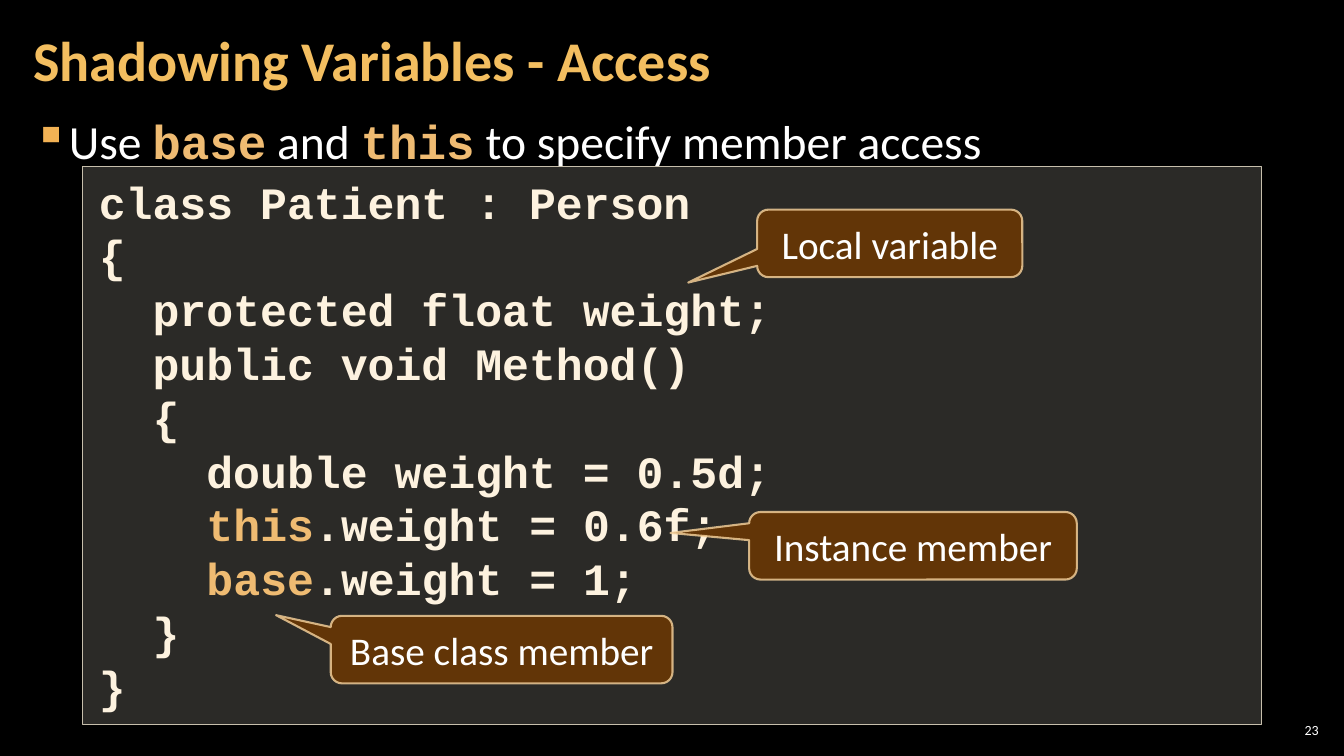
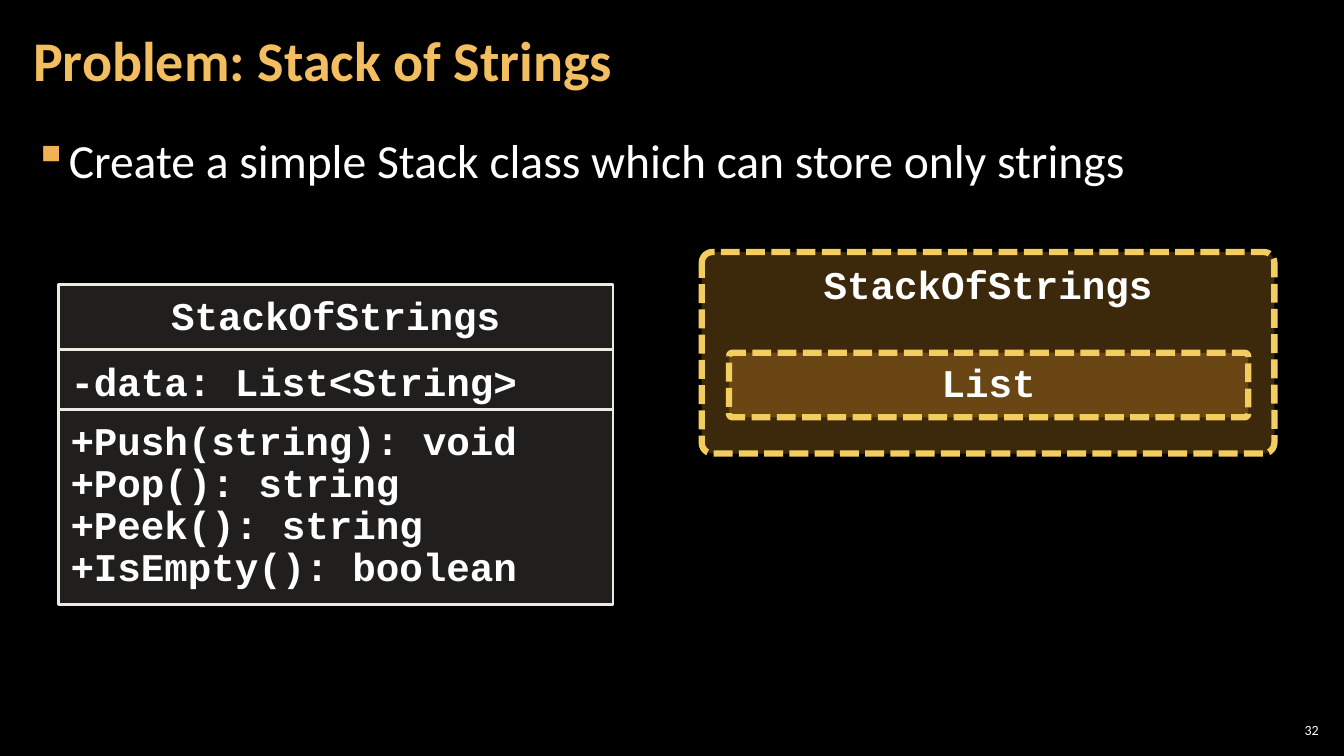
import pptx
import pptx.dml.color
import pptx.enum.dml
import pptx.enum.shapes
import pptx.enum.text
import pptx.oxml.ns
import pptx.util
from lxml import etree

Inches = pptx.util.Inches
Pt = pptx.util.Pt
Shape = pptx.enum.shapes.MSO_SHAPE
Align = pptx.enum.text.PP_ALIGN
Anchor = pptx.enum.text.MSO_ANCHOR
DASH = pptx.enum.dml.MSO_LINE.SQUARE_DOT
qn = pptx.oxml.ns.qn

TEXT_FONT, CODE_FONT = "Calibri", "Courier New"
WHITE, TITLE, BULLET, KEYWORD, CODE = "FFFFFF", "F3BE60", "F2B254", "EFBB72", "FDF2DF"
PANEL, PANEL_LINE, DIAGRAM_LINE = "D9D5C7", "C7BFAC", "ECEAE3"
CALLOUT, CALLOUT_LINE = "663606", "F8D49E"
AMBER, AMBER_LINE = "F0A22E", "F3CD60"


def color(hex_string):
    return pptx.dml.color.RGBColor.from_string(hex_string)


class Deck:
    """Holds the shared style and the slide being built."""

    def __init__(self):
        self.presentation = pptx.Presentation()
        self.presentation.slide_width = Inches(13.33)
        self.presentation.slide_height = Inches(7.5)
        background = self.presentation.slide_master.background.fill
        background.solid()
        background.fore_color.rgb = color("000000")
        self.slide = None

    def new_slide(self, title, number):
        self.slide = self.presentation.slides.add_slide(self.presentation.slide_layouts[6])
        self.text_box((0.21, 0.04, 10.47, 1.21), [title], size=40, font_color=TITLE,
                      bold=True, spacing=Pt(40), anchor=Anchor.MIDDLE)
        self.text_box((12.65, 7.14, 0.47, 0.21), [number], size=10, align=Align.RIGHT,
                      anchor=Anchor.MIDDLE, insets=(0.04, 0.04))

    def set_text(self, shape, lines, size, font_name=TEXT_FONT, font_color=WHITE, bold=False,
                 align=Align.LEFT, spacing=None, anchor=Anchor.TOP, insets=(0.1, 0.05),
                 bullet=False):
        """Each line is a string, or a list of strings and (keyword,) tuples."""
        frame = shape.text_frame
        frame.word_wrap = True
        frame.vertical_anchor = anchor
        frame.margin_left = frame.margin_right = Inches(insets[0])
        frame.margin_top = frame.margin_bottom = Inches(insets[1])
        for index, line in enumerate(lines):
            paragraph = frame.add_paragraph() if index else frame.paragraphs[0]
            paragraph.alignment = align
            if spacing is not None:
                paragraph.line_spacing = spacing
            if bullet:
                self.add_bullet(paragraph)
            font = paragraph.font
            font.name, font.size, font.bold = font_name, Pt(size), bold
            font.color.rgb = color(font_color)
            for part in [line] if isinstance(line, str) else line:
                run = paragraph.add_run()
                if isinstance(part, tuple):
                    run.text = part[0]
                    run.font.name, run.font.bold = CODE_FONT, True
                    run.font.color.rgb = color(KEYWORD)
                else:
                    run.text = part

    def add_bullet(self, paragraph):
        paragraph.space_after = Pt(6)
        properties = paragraph._p.get_or_add_pPr()
        properties.set("marL", str(Inches(0.33)))
        properties.set("indent", str(-Inches(0.33)))
        bullet_color = etree.SubElement(properties, qn("a:buClr"))
        etree.SubElement(bullet_color, qn("a:srgbClr"), val=BULLET)
        etree.SubElement(properties, qn("a:buChar"), char="▪")

    def text_box(self, place, lines, insets=(0.12, 0.04), **style):
        shape = self.slide.shapes.add_textbox(*map(Inches, place))
        self.set_text(shape, lines, insets=insets, **style)

    def body(self, top, line, spacing=None):
        self.text_box((0.21, top, 12.91, 6.09), [line], size=34, spacing=spacing, bullet=True)

    def box(self, kind, place, fill, line, lines, adjustments=(), dash=None, **style):
        """Fill is (colour, opacity %); line is (colour, width, opacity %)."""
        shape = self.slide.shapes.add_shape(kind, *map(Inches, place))
        shape.shadow.inherit = False
        for index, value in enumerate(adjustments):
            shape.adjustments[index] = value
        shape.fill.solid()
        shape.fill.fore_color.rgb = color(fill[0])
        shape.line.color.rgb = color(line[0])
        shape.line.width = Pt(line[1])
        if dash is not None:
            shape.line.dash_style = dash
        for owner, opacity in (("p:spPr", fill[1]), ("p:spPr/a:ln", line[2])):
            if opacity < 100:
                solid = shape.element.xpath(owner + "/a:solidFill/a:srgbClr")[0]
                etree.SubElement(solid, qn("a:alpha"), val=str(opacity * 1000))
        self.set_text(shape, lines, **style)

    def code_panel(self, place, lines):
        self.box(Shape.RECTANGLE, place, (PANEL, 20), (PANEL_LINE, 1, 100), lines,
                 size=32, font_name=CODE_FONT, font_color=CODE, bold=True, insets=(0.16, 0.08))

    def callout(self, left, top, width, text, tip):
        self.box(Shape.ROUNDED_RECTANGULAR_CALLOUT, (left, top, width, 0.67), (CALLOUT, 95),
                 (CALLOUT_LINE, 1.5, 80), [text], adjustments=(*tip, 0.167), size=28,
                 align=Align.CENTER, anchor=Anchor.MIDDLE)

    def class_diagram(self, left, top, width, sections):
        for height, align, lines in sections:
            self.box(Shape.RECTANGLE, (left, top, width, height), (PANEL, 15),
                     (DIAGRAM_LINE, 2, 100), lines, size=28, font_name=CODE_FONT, bold=True,
                     align=align, spacing=Pt(30), insets=(0.12, 0.12))
            top += height

    def dashed_box(self, place, text):
        self.box(Shape.ROUNDED_RECTANGLE, place, (AMBER, 25), (AMBER_LINE, 4.5, 100), [text],
                 adjustments=(0.054,), dash=DASH, size=28, font_name=CODE_FONT, bold=True,
                 align=Align.CENTER)


def main():
    deck = Deck()

    # Shadowing variables
    deck.new_slide("Shadowing Variables - Access", "23")
    deck.body(1.04, ["Use ", ("base",), " and ", ("this",), " to specify member access"],
              spacing=1.05)
    deck.code_panel((0.82, 1.65, 11.69, 5.54), [
        "class Patient : Person",
        "{",
        "  protected float weight;",
        "  public void Method()",
        "  {",
        "    double weight = 0.5d;",
        ["    ", ("this",), ".weight = 0.6f;"],
        ["    ", ("base",), ".weight = 1;"],
        "  }",
        "}",
    ])
    deck.callout(7.43, 5.08, 3.25, "Instance member", (-0.74, -0.19))
    deck.callout(3.28, 6.11, 3.39, "Base class member", (-0.66, -0.51))
    deck.callout(7.51, 2.08, 2.63, "Local variable", (-0.76, 0.58))

    # Stack of strings
    deck.new_slide("Problem: Stack of Strings", "32")
    deck.body(1.26, "Create a simple Stack class which can store only strings")
    deck.class_diagram(0.58, 2.82, 5.5, [
        (0.65, Align.CENTER, ["StackOfStrings"]),
        (0.59, Align.LEFT, ["-data: List<String>"]),
        (1.94, Align.LEFT, ["+Push(string): void", "+Pop(): string",
                            "+Peek(): string", "+IsEmpty(): boolean"]),
    ])
    deck.dashed_box((6.96, 2.5, 5.68, 2), "StackOfStrings")
    deck.dashed_box((7.23, 3.5, 5.15, 0.64), "List")

    deck.presentation.save("out.pptx")


if __name__ == "__main__":
    main()
